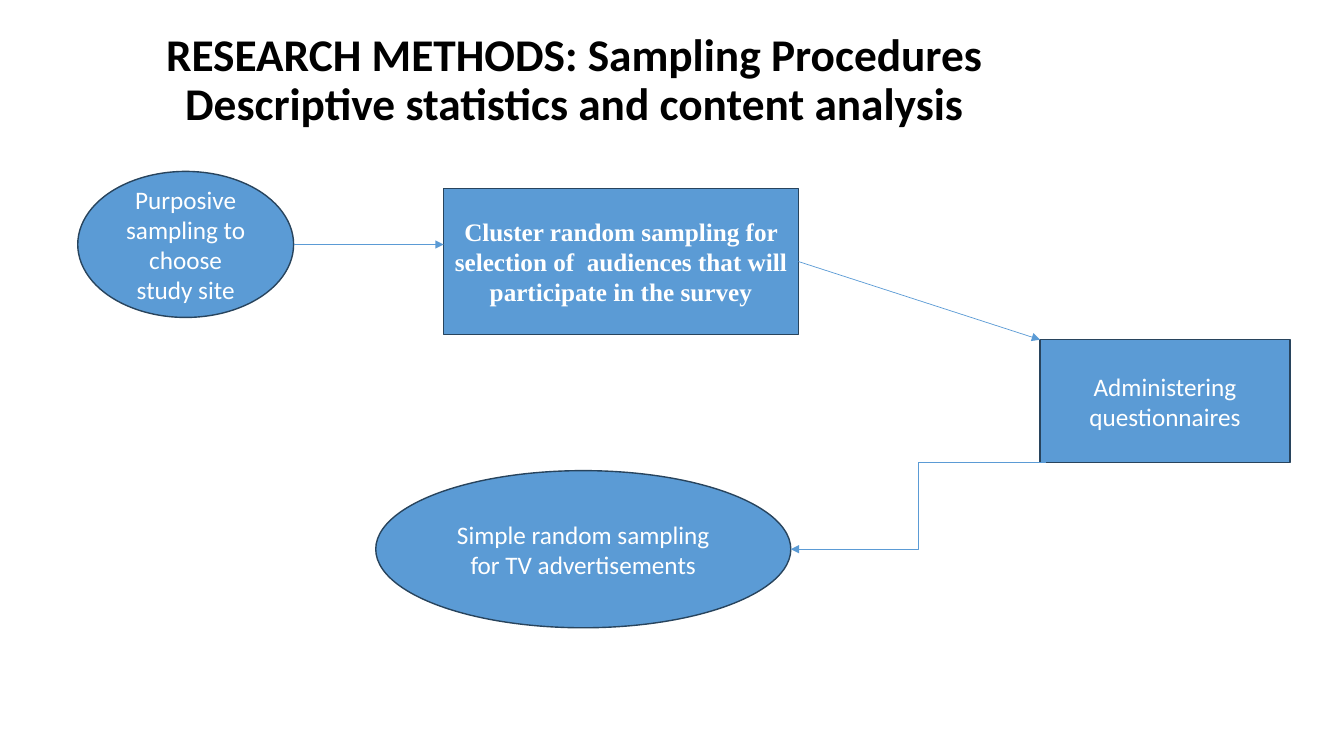
from dataclasses import dataclass

from lxml.etree import SubElement
from pptx import Presentation
from pptx.dml.color import RGBColor
from pptx.enum.shapes import MSO_CONNECTOR as Link, MSO_SHAPE as Shape
from pptx.enum.text import MSO_ANCHOR as Anchor, MSO_AUTO_SIZE as AutoSize, PP_ALIGN as Align
from pptx.oxml.ns import qn
from pptx.util import Cm, Pt


@dataclass(frozen=True)
class Theme:
    blue: RGBColor = RGBColor(0x5B, 0x9B, 0xD5)
    outline: RGBColor = RGBColor(0x28, 0x44, 0x5D)
    white: RGBColor = RGBColor(0xFF, 0xFF, 0xFF)
    black: RGBColor = RGBColor(0, 0, 0)
    sans: str = "Calibri"
    serif: str = "Times New Roman"
    title_size: float = 32.4
    body_size: float = 18


class FlowPage:
    def __init__(self, deck, theme):
        self.theme = theme
        self.page = deck.slides.add_slide(deck.slide_layouts[5])

    def label(self, box, text, size, color, font, bold):
        frame = box.text_frame
        frame.text = text
        frame.word_wrap = True
        frame.auto_size = AutoSize.NONE
        frame.vertical_anchor = Anchor.MIDDLE
        para = frame.paragraphs[0]
        para.alignment = Align.CENTER
        for span in para.runs:
            span.font.size = Pt(size)
            span.font.name = font
            span.font.bold = bold
            span.font.color.rgb = color

    def title(self, text, left, top, width, height):
        box = self.page.shapes.title
        box.left, box.top, box.width, box.height = map(Cm, (left, top, width, height))
        self.label(box, text, self.theme.title_size, self.theme.black, self.theme.sans, True)
        box.text_frame.paragraphs[0].line_spacing = 0.9

    def step(self, kind, text, left, top, width, height, font=None, bold=False):
        box = self.page.shapes.add_shape(kind, *map(Cm, (left, top, width, height)))
        box.shadow.inherit = False
        box.fill.solid()
        box.fill.fore_color.rgb = self.theme.blue
        box.line.color.rgb = self.theme.outline
        box.line.width = Pt(1)
        self.label(box, text, self.theme.body_size, self.theme.white,
                   font or self.theme.sans, bold)
        return box

    def arrow(self, start, end, kind=Link.STRAIGHT):
        arrow = self.page.shapes.add_connector(kind, *start, *end)
        arrow.line.color.rgb = self.theme.blue
        arrow.line.width = Pt(0.5)
        properties = arrow._element.spPr
        SubElement(properties.find(qn("a:ln")), qn("a:tailEnd"), type="triangle")
        SubElement(properties, qn("a:effectLst"))
        return arrow


def right_middle(box):
    return box.left + box.width, box.top + box.height // 2


def main():
    deck = Presentation()
    deck.slide_width, deck.slide_height = Cm(33.87), Cm(19.05)
    theme = Theme()
    flow = FlowPage(deck, theme)

    # Heading
    flow.title("RESEARCH METHODS: Sampling Procedures\v"
               "Descriptive statistics and content analysis", 3.3, 0.91, 22.35, 2.26)

    # Sampling steps
    cluster = flow.step(Shape.RECTANGLE, "Cluster random sampling for selection of  audiences "
                        "that will participate in the survey",
                        11.18, 4.75, 8.94, 3.68, theme.serif, True)
    purposive = flow.step(Shape.OVAL, "Purposive sampling to choose study site",
                          1.96, 4.32, 5.44, 3.68)
    survey = flow.step(Shape.RECTANGLE, "Administering questionnaires",
                       26.21, 8.56, 6.3, 3.1)
    adverts = flow.step(Shape.OVAL, "Simple random sampling for TV advertisements",
                        9.47, 11.86, 10.46, 3.96)

    # Arrows from step to step
    site = right_middle(purposive)
    flow.arrow(site, (cluster.left, site[1]))
    to_survey = flow.arrow(right_middle(cluster), (survey.left, survey.top))
    to_survey.begin_connect(cluster, 3)
    flow.arrow((survey.left + Cm(0.16), survey.top + survey.height),
               right_middle(adverts), Link.ELBOW)

    deck.save("out.pptx")


if __name__ == "__main__":
    main()
